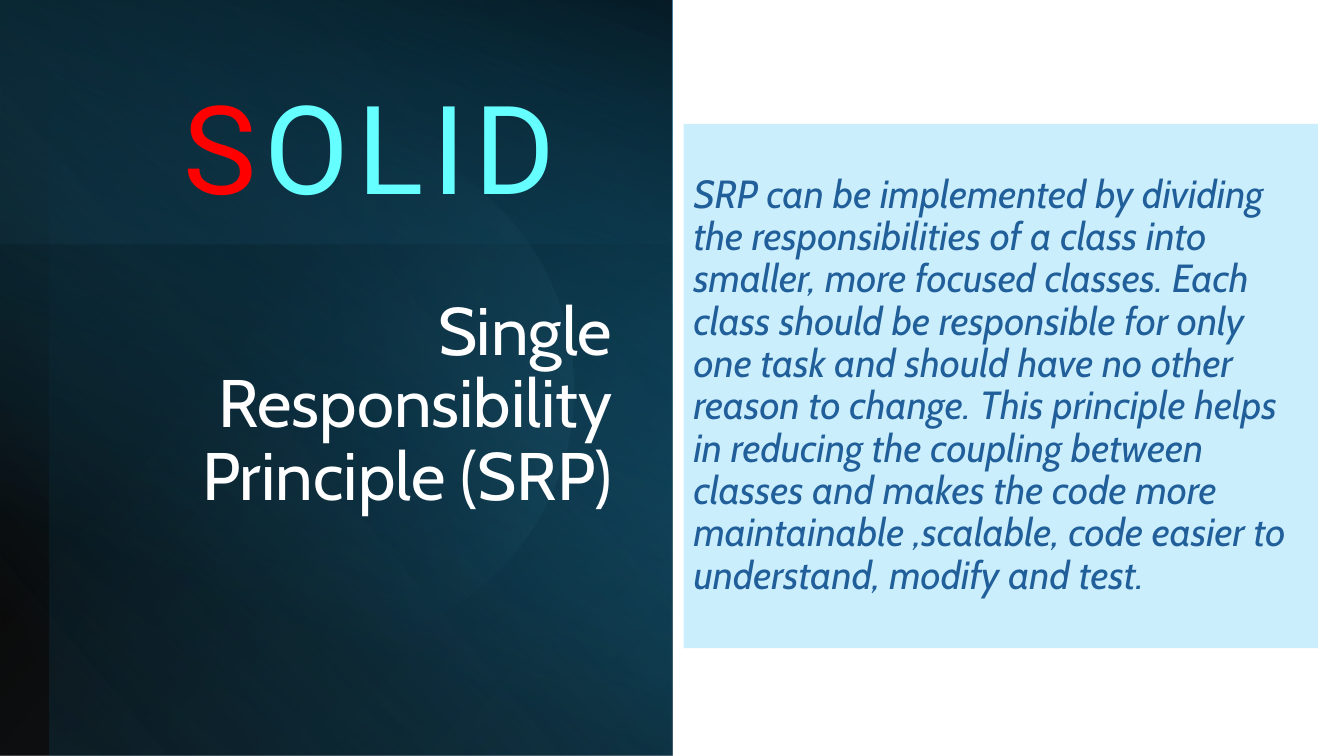
"""Build the SOLID slide about the Single Responsibility Principle."""
from pptx import Presentation
from pptx import util as u
from pptx.dml.color import RGBColor
from pptx.enum import shapes, text
from pptx.oxml import parse_xml
from pptx.oxml.ns import nsdecls, qn

BLACK = RGBColor(0x00, 0x00, 0x00)
WHITE = RGBColor(0xFF, 0xFF, 0xFF)
TEAL = RGBColor(0x15, 0x60, 0x82)
DARK_TEAL = RGBColor(0x0B, 0x30, 0x41)
SKY = RGBColor(0x83, 0xCB, 0xEB)
PALE_BLUE = RGBColor(0xCA, 0xEE, 0xFB)
TEXT_BLUE = RGBColor(0x21, 0x5F, 0x9A)
RED = RGBColor(0xFF, 0x00, 0x00)
CYAN = RGBColor(0x66, 0xFF, 0xFF)

RECTANGLE = shapes.MSO_SHAPE.RECTANGLE
OVAL = shapes.MSO_SHAPE.OVAL

EXPLANATION = (
    "SRP can be implemented by dividing the responsibilities of a class into "
    "smaller, more focused classes. Each class should be responsible for only "
    "one task and should have no other reason to change. This principle helps "
    "in reducing the coupling between classes and makes the code more "
    "maintainable ,scalable, code easier to understand, modify and test."
)


class SlideBuilder:
    """Hold the text style and the current page, and draw its elements."""

    body_font = "Cabin"
    banner_font = "Roboto"
    line_spacing = 0.9

    def __init__(self, page):
        self.page = page

    def shape(self, kind, bounds, color):
        """Add a plain filled shape."""
        shape = self.page.shapes.add_shape(kind, *map(u.Inches, bounds))
        shape.shadow.inherit = False
        shape.fill.solid()
        shape.fill.fore_color.rgb = color
        shape.line.fill.background()
        return shape

    def glow(self, kind, bounds, rotation, angle, stops, flipped=True):
        """Add a shape with a gradient of (position, colour, opacity) stops."""
        shape = self.shape(kind, bounds, stops[0][1])
        shape.rotation = rotation
        properties = shape.element.spPr
        if flipped:
            properties.find(qn("a:xfrm")).set("flipH", "1")
        stop_xml = "".join(
            f'<a:gs pos="{position * 1000}"><a:srgbClr val="{color}">'
            f'<a:alpha val="{opacity * 1000}"/></a:srgbClr></a:gs>'
            for position, color, opacity in stops
        )
        gradient = parse_xml(
            f'<a:gradFill {nsdecls("a")} rotWithShape="1"><a:gsLst>{stop_xml}</a:gsLst>'
            f'<a:lin ang="{angle * 60000}" scaled="0"/></a:gradFill>'
        )
        properties.replace(properties.find(qn("a:solidFill")), gradient)

    def text_box(self, bounds):
        """Add an empty wrapping text box and return its frame."""
        box = self.page.shapes.add_textbox(*map(u.Inches, bounds))
        box.text_frame.word_wrap = True
        return box.text_frame

    def paragraph(self, frame, words, size, color, align, italic=False):
        """Set one paragraph in the body font."""
        para = frame.paragraphs[0]
        para.text = words
        para.alignment = align
        para.line_spacing = self.line_spacing
        para.font.name = self.body_font
        para.font.size = u.Pt(size)
        para.font.color.rgb = color
        para.font.italic = italic
        return para

    def heading(self, bounds, words):
        """Add the right-aligned heading."""
        self.paragraph(self.text_box(bounds), words, 48, WHITE, text.PP_ALIGN.RIGHT)

    def card(self, bounds, words):
        """Add the filled card with the explanation."""
        frame = self.shape(RECTANGLE, bounds, PALE_BLUE).text_frame
        frame.word_wrap = True
        frame.vertical_anchor = text.MSO_ANCHOR.MIDDLE
        para = self.paragraph(frame, words, 28, TEXT_BLUE, text.PP_ALIGN.LEFT, italic=True)
        para.space_before = u.Pt(10)

    def banner(self, bounds, parts):
        """Add the widely spaced acronym in several colours."""
        frame = self.text_box(bounds)
        frame.auto_size = text.MSO_AUTO_SIZE.SHAPE_TO_FIT_TEXT
        para = frame.paragraphs[0]
        para.alignment = text.PP_ALIGN.CENTER
        para.font.name = self.banner_font
        para.font.size = u.Pt(88)
        for letters, color in parts:
            span = para.add_run()
            span.text = letters
            span.font.color.rgb = color
            span.font._element.set("spc", "600")


def main():
    """Build and save the deck."""
    deck = Presentation()
    deck.slide_width = u.Inches(13.33)
    deck.slide_height = u.Inches(7.5)
    builder = SlideBuilder(deck.slides.add_slide(deck.slide_layouts[6]))

    builder.glow(RECTANGLE, (0, 0, 6.67, 7.5), 180, 40,
                 [(8, BLACK, 94), (100, TEAL, 100)])
    builder.glow(RECTANGLE, (-0.17, 0.67, 7.5, 6.17), 270, 140,
                 [(0, TEAL, 23), (71, DARK_TEAL, 0), (100, BLACK, 0)])
    builder.glow(RECTANGLE, (-0.01, 2.43, 6.67, 5.07), 180, 140,
                 [(0, TEAL, 0), (72, BLACK, 21)])
    builder.glow(OVAL, (0.62, 1.32, 5.07, 5.07), 69, 280,
                 [(53, TEAL, 0), (100, SKY, 15)], flipped=False)
    builder.glow(RECTANGLE, (-0.01, 0, 6.67, 7.51), 180, 70,
                 [(24, TEAL, 0), (100, BLACK, 71)])

    builder.heading((1.17, 2.9, 5, 3.52), "Single Responsibility Principle (SRP)")
    builder.card((6.78, 1.23, 6.29, 5.2), EXPLANATION)
    builder.banner((0.96, 0.66, 5.41, 1.58), [("S", RED), ("OLID", CYAN)])

    deck.save("out.pptx")


if __name__ == "__main__":
    main()
